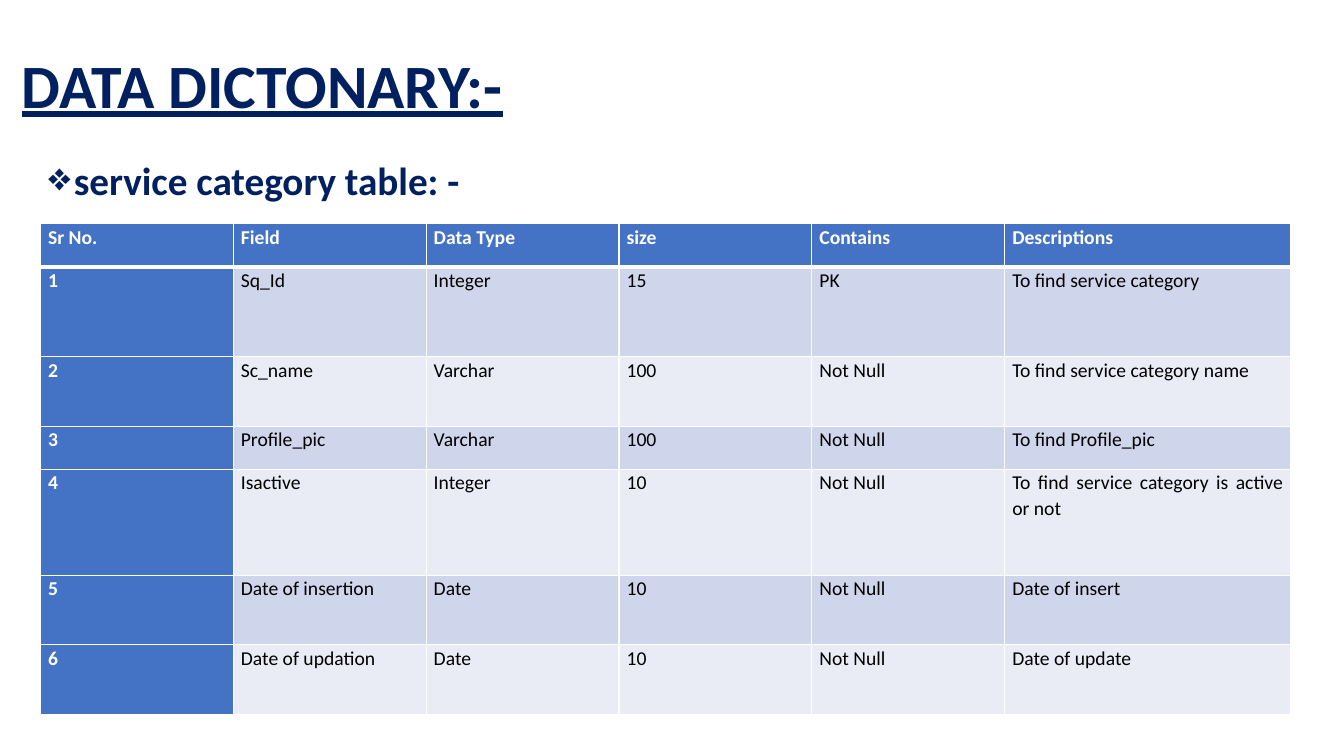
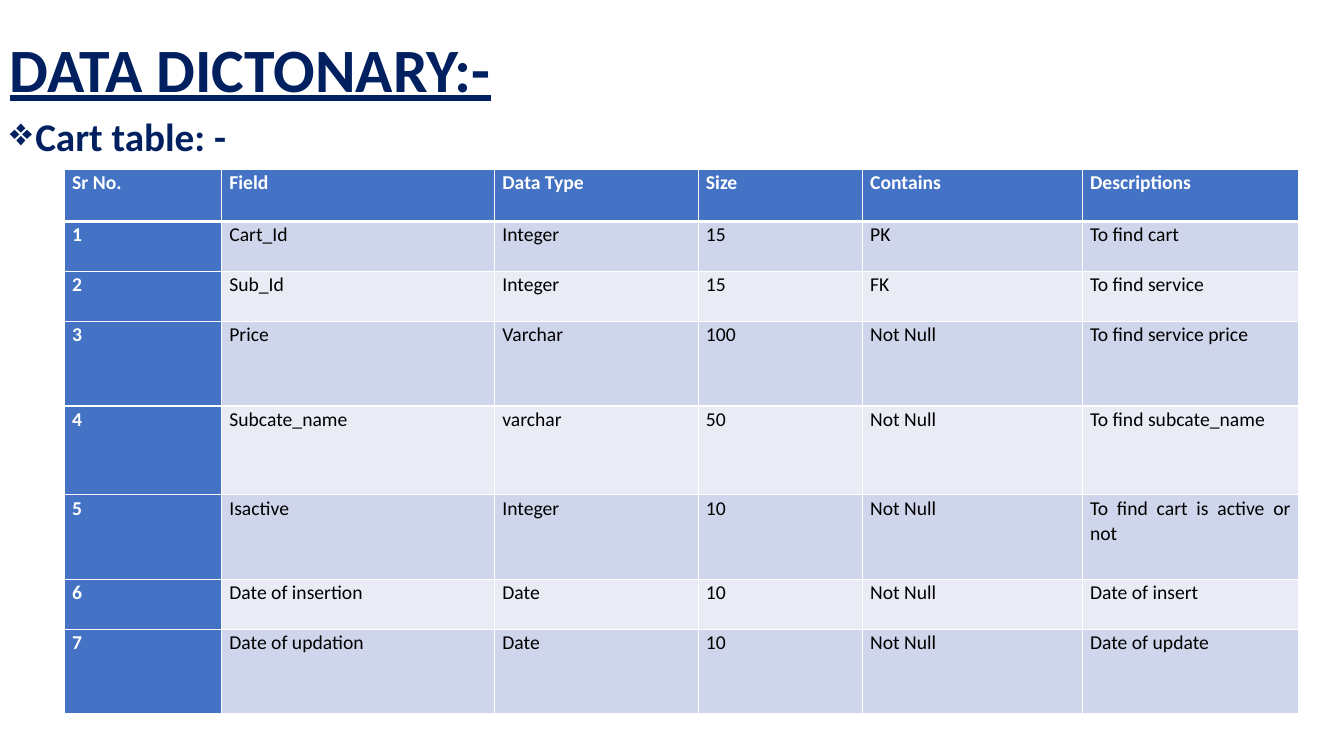
"""Builds two data dictionary slides, each with a title, a heading and a table of fields."""
import pptx
import pptx.dml.color
import pptx.enum.text
import pptx.oxml
import pptx.oxml.ns
import pptx.util

Cm, Pt = pptx.util.Cm, pptx.util.Pt
RGB = pptx.dml.color.RGBColor.from_string
ALIGN = pptx.enum.text.PP_ALIGN
ANCHOR = pptx.enum.text.MSO_ANCHOR


class Theme:
    font = "Calibri"
    navy, blue, white, black = "002060", "4472C4", "FFFFFF", "000000"
    bands = ("CFD5EA", "E9EBF5")
    title, head, cell = 44, 28, 14
    thin, thick = 1, 3


TITLE = "DATA DICTONARY:-"
SLIDES = [
    {
        "head": "service category table: -",
        "title_box": (0.3, 1.02, 31.22, 2.41),
        "head_box": (0.97, 3.96, 30.58, 13.18),
        "origin": (1.02, 5.64),
        "cols": [4.86] * 5 + [7.21],
        "rows": [1.09, 2.26, 1.75, 1.09, 2.67, 1.75, 1.75],
        "labels": ("Sr No.", "Field", "Data Type", "size", "Contains", "Descriptions"),
        "fields": [
            ("Sq_Id", "Integer", "15", "PK", "To find service category"),
            ("Sc_name", "Varchar", "100", "Not Null", "To find service category name"),
            ("Profile_pic", "Varchar", "100", "Not Null", "To find Profile_pic"),
            ("Isactive", "Integer", "10", "Not Null", "To find service category is active or not"),
            ("Date of insertion", "Date", "10", "Not Null", "Date of insert"),
            ("Date of updation", "Date", "10", "Not Null", "Date of update"),
        ],
    },
    {
        "head": "Cart table: -",
        "title_box": (0, 0.64, 31.55, 2.36),
        "head_box": (0, 2.84, 31.55, 14.3),
        "origin": (1.63, 4.27),
        "cols": [3.96, 6.88, 5.13, 4.14, 5.54, 5.44],
        "rows": [1.31, 1.26, 1.26, 2.13, 2.24, 2.13, 1.26, 2.13],
        "labels": ("Sr No.", "Field", "Data Type", "Size", "Contains", "Descriptions"),
        "fields": [
            ("Cart_Id", "Integer", "15", "PK", "To find cart"),
            ("Sub_Id", "Integer", "15", "FK", "To find service"),
            ("Price", "Varchar", "100", "Not Null", "To find service price"),
            ("Subcate_name", "varchar", "50", "Not Null", "To find subcate_name"),
            ("Isactive", "Integer", "10", "Not Null", "To find cart is active or not"),
            ("Date of insertion", "Date", "10", "Not Null", "Date of insert"),
            ("Date of updation", "Date", "10", "Not Null", "Date of update"),
        ],
    },
]


def style(para, size, color, bold=True, line=False):
    for run in para.runs:
        font = run.font
        font.name, font.size, font.bold = Theme.font, Pt(size), bold
        font.color.rgb = RGB(color)
        if line:
            font.underline = True


def add_text(slide, box, text, anchor):
    frame = slide.shapes.add_textbox(*map(Cm, box)).text_frame
    frame.word_wrap = True
    frame.vertical_anchor = anchor
    frame.text = text
    para = frame.paragraphs[0]
    para.line_spacing = 0.9
    return para


def add_bullet(para, mark):
    props = para._p.get_or_add_pPr()
    props.set("marL", str(Cm(0.64)))
    props.set("indent", str(-Cm(0.64)))
    ns = pptx.oxml.ns.nsdecls("a")
    props.append(pptx.oxml.parse_xml(f'<a:buChar {ns} char="{mark}"/>'))


def add_edges(cell, top, bottom):
    props = cell._tc.get_or_add_tcPr()
    ns = pptx.oxml.ns.nsdecls("a")
    widths = {"L": Theme.thin, "R": Theme.thin, "T": top, "B": bottom}
    for side, width in widths.items():
        props.append(pptx.oxml.parse_xml(
            f'<a:ln{side} {ns} w="{Pt(width)}"><a:solidFill>'
            f'<a:srgbClr val="{Theme.white}"/></a:solidFill></a:ln{side}>'))


def fill_cell(cell, text, row, col):
    key = row == 0 or col == 0
    add_edges(cell, Theme.thick if row == 1 else Theme.thin,
              Theme.thick if row == 0 else Theme.thin)
    cell.fill.solid()
    cell.fill.fore_color.rgb = RGB(Theme.blue if key else Theme.bands[(row - 1) % 2])
    cell.margin_left = cell.margin_right = Cm(0.19)
    cell.margin_top = cell.margin_bottom = 0
    cell.text_frame.text = text
    para = cell.text_frame.paragraphs[0]
    para.alignment = ALIGN.JUSTIFY
    para.line_spacing = 1.07
    para.space_after = Pt(0.5)
    style(para, Theme.cell, Theme.white if key else Theme.black, key)


def add_grid(slide, data):
    cols, rows = data["cols"], data["rows"]
    size = (*data["origin"], sum(cols), sum(rows))
    table = slide.shapes.add_table(len(rows), len(cols), *map(Cm, size)).table
    for part, width in zip(table.columns, cols):
        part.width = Cm(width)
    for part, height in zip(table.rows, rows):
        part.height = Cm(height)
    lines = [data["labels"]]
    lines += [(str(num), *field) for num, field in enumerate(data["fields"], 1)]
    for row, line in enumerate(lines):
        for col, text in enumerate(line):
            fill_cell(table.cell(row, col), text, row, col)


def main():
    deck = pptx.Presentation()
    deck.slide_width, deck.slide_height = Cm(33.87), Cm(19.05)
    for data in SLIDES:
        slide = deck.slides.add_slide(deck.slide_layouts[6])
        title = add_text(slide, data["title_box"], TITLE, ANCHOR.MIDDLE)
        style(title, Theme.title, Theme.navy, line=True)
        head = add_text(slide, data["head_box"], data["head"], ANCHOR.TOP)
        add_bullet(head, "❖")
        style(head, Theme.head, Theme.navy)
        add_grid(slide, data)
    deck.save("out.pptx")


if __name__ == "__main__":
    main()
